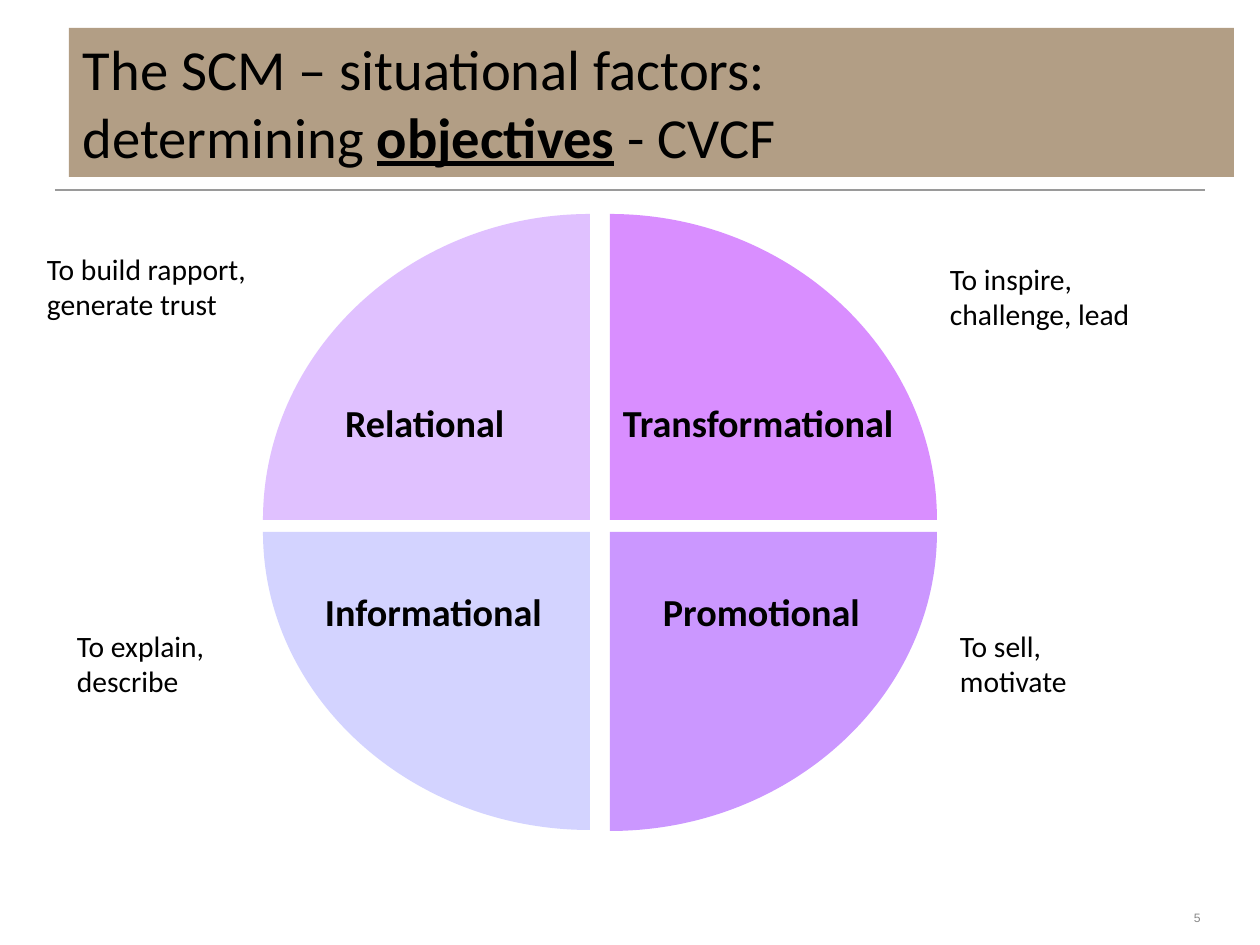
from dataclasses import dataclass

from lxml import etree
from pptx import Presentation
from pptx import util as u
from pptx.dml.color import RGBColor
from pptx.enum import shapes, text
from pptx.oxml.ns import qn


@dataclass(frozen=True)
class Theme:
    ink: str = "000000"
    banner: str = "B29E85"
    rule: str = "9A9A9A"
    muted: str = "898989"
    body_font: str = "Calibri"
    number_font: str = "Arial"
    title_size: int = 46
    label_size: int = 31
    note_size: int = 24
    number_size: int = 17


THEME = Theme()
EMU_PER_PX = u.Inches(1) / 88.6
SLIDE = (1260, 945)
INSETS = (12, 6, 6)
TITLE_INSETS = (14, 6, 8)
NUMBER_INSETS = (5, 5, 5)
ARC_PULL = 0.55
RADIUS_X = 327

TITLE = [
    [("The SCM – situational factors:", False)],
    [("determining ", False), ("objectives", True), (" - CVCF", False)],
]
TITLE_BOX = (69, 28, 1165, 149)
RULE = (55, 190, 1205, 190)
QUADRANTS = [
    dict(x=590, y=520, radius_y=306, side=-1, rise=-1, colour="D3A7FF", opacity=70),
    dict(x=610, y=520, radius_y=306, side=1, rise=-1, colour="C44FFF", opacity=64),
    dict(x=590, y=532, radius_y=298, side=-1, rise=1, colour="CCCCFF", opacity=85),
    dict(x=610, y=532, radius_y=299, side=1, rise=1, colour="CB97FF", opacity=100),
]
NOTES = [
    (["To build rapport,", "generate trust"], (35, 245, 229, 108)),
    (["To explain,", "describe"], (65, 622, 157, 108)),
    (["To inspire,", "challenge, lead"], (938, 255, 207, 144)),
    (["To sell,", "motivate"], (948, 622, 134, 144)),
]
LABELS = [
    (["Relational"], (333, 393, 190, 59)),
    (["Informational"], (313, 582, 248, 59)),
    (["Transformational"], (611, 393, 306, 59)),
    (["Promotional"], (651, 582, 227, 59)),
]
NUMBER = (["5"], (1189, 891, 30, 29))


def px(value):
    return u.Emu(round(value * EMU_PER_PX))


def paint(shape, colour, opacity=100):
    shape.shadow.inherit = False
    shape.line.fill.background()
    shape.fill.solid()
    shape.fill.fore_color.rgb = RGBColor.from_string(colour)
    if opacity < 100:
        srgb = shape._element.spPr.find(".//" + qn("a:srgbClr"))
        etree.SubElement(srgb, qn("a:alpha")).set("val", str(opacity * 1000))


def inset(frame, insets):
    side, top, bottom = map(px, insets)
    frame.margin_left = frame.margin_right = side
    frame.margin_top, frame.margin_bottom = top, bottom


def style(paragraph, size, colour=THEME.ink, face=THEME.body_font, bold=None):
    paragraph.alignment = text.PP_ALIGN.LEFT
    font = paragraph.font
    font.name, font.size, font.bold = face, u.Pt(size), bold
    font.color.rgb = RGBColor.from_string(colour)


def add_lines(slide, lines, box, size, insets=INSETS, wrap=False, **look):
    frame = slide.shapes.add_textbox(*map(px, box)).text_frame
    inset(frame, insets)
    frame.word_wrap = wrap
    frame.auto_size = text.MSO_AUTO_SIZE.NONE if wrap else text.MSO_AUTO_SIZE.SHAPE_TO_FIT_TEXT
    frame.text = "\n".join(lines)
    for paragraph in frame.paragraphs:
        style(paragraph, size, **look)
    return frame


def add_rule(slide):
    rule = slide.shapes.add_connector(shapes.MSO_CONNECTOR.STRAIGHT, *map(px, RULE))
    rule.line.color.rgb = RGBColor.from_string(THEME.rule)
    rule.line.width = u.Pt(1)
    etree.SubElement(rule._element.spPr, qn("a:effectLst"))


def add_quadrant(slide, x, y, radius_y, side, rise, colour, opacity):
    tip_x, tip_y = x + side * RADIUS_X, y + rise * radius_y
    outline = slide.shapes.build_freeform(px(tip_x), px(y))
    outline.add_line_segments([(px(x), px(tip_y)), (px(x), px(y))], close=True)
    quadrant = outline.convert_to_shape()
    paint(quadrant, colour, opacity)

    arc = quadrant._element.spPr.find(".//" + qn("a:lnTo"))
    arc.tag = qn("a:cubicBezTo")
    controls = [
        (tip_x, y + rise * radius_y * ARC_PULL),
        (x + side * RADIUS_X * ARC_PULL, tip_y),
    ]
    for index, (control_x, control_y) in enumerate(controls):
        point = etree.Element(qn("a:pt"))
        point.set("x", str(px(control_x) - quadrant.left))
        point.set("y", str(px(control_y) - quadrant.top))
        arc.insert(index, point)


def add_title(slide):
    banner = slide.shapes.add_shape(shapes.MSO_SHAPE.RECTANGLE, *map(px, TITLE_BOX))
    paint(banner, THEME.banner)
    frame = banner.text_frame
    inset(frame, TITLE_INSETS)
    frame.word_wrap = True
    frame.vertical_anchor = text.MSO_ANCHOR.MIDDLE
    for index, line in enumerate(TITLE):
        paragraph = frame.add_paragraph() if index else frame.paragraphs[0]
        style(paragraph, THEME.title_size)
        for words, stressed in line:
            run = paragraph.add_run()
            run.text = words
            if stressed:
                run.font.bold = run.font.underline = True


def main():
    deck = Presentation()
    deck.slide_width, deck.slide_height = map(px, SLIDE)
    slide = deck.slides.add_slide(deck.slide_layouts[6])
    add_rule(slide)
    for quadrant in QUADRANTS:
        add_quadrant(slide, **quadrant)
    add_title(slide)
    for lines, box in NOTES:
        add_lines(slide, lines, box, THEME.note_size)
    for lines, box in LABELS:
        add_lines(slide, lines, box, THEME.label_size, bold=True)
    number = add_lines(
        slide, *NUMBER, THEME.number_size, NUMBER_INSETS, wrap=True,
        colour=THEME.muted, face=THEME.number_font,
    )
    number.paragraphs[0].runs[0]._r.get_or_add_rPr().set("baseline", "-25000")
    deck.save("out.pptx")


if __name__ == "__main__":
    main()
